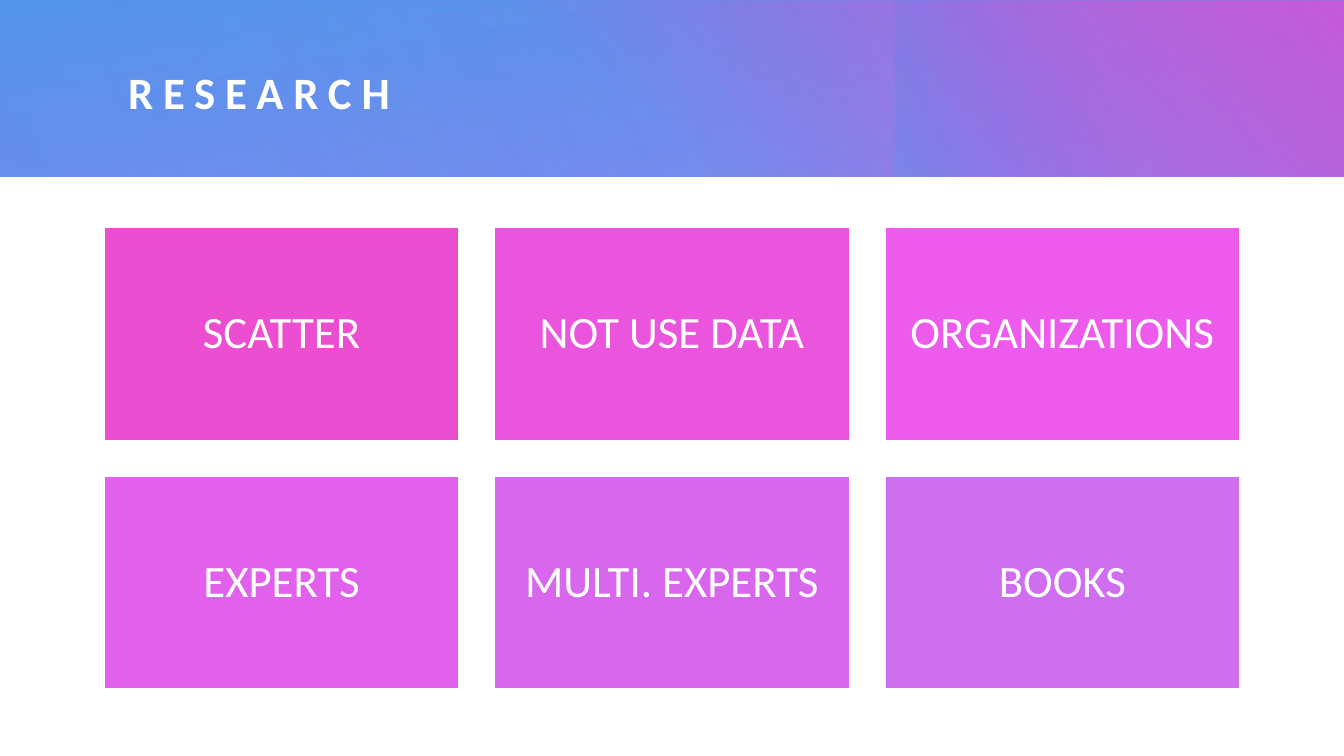
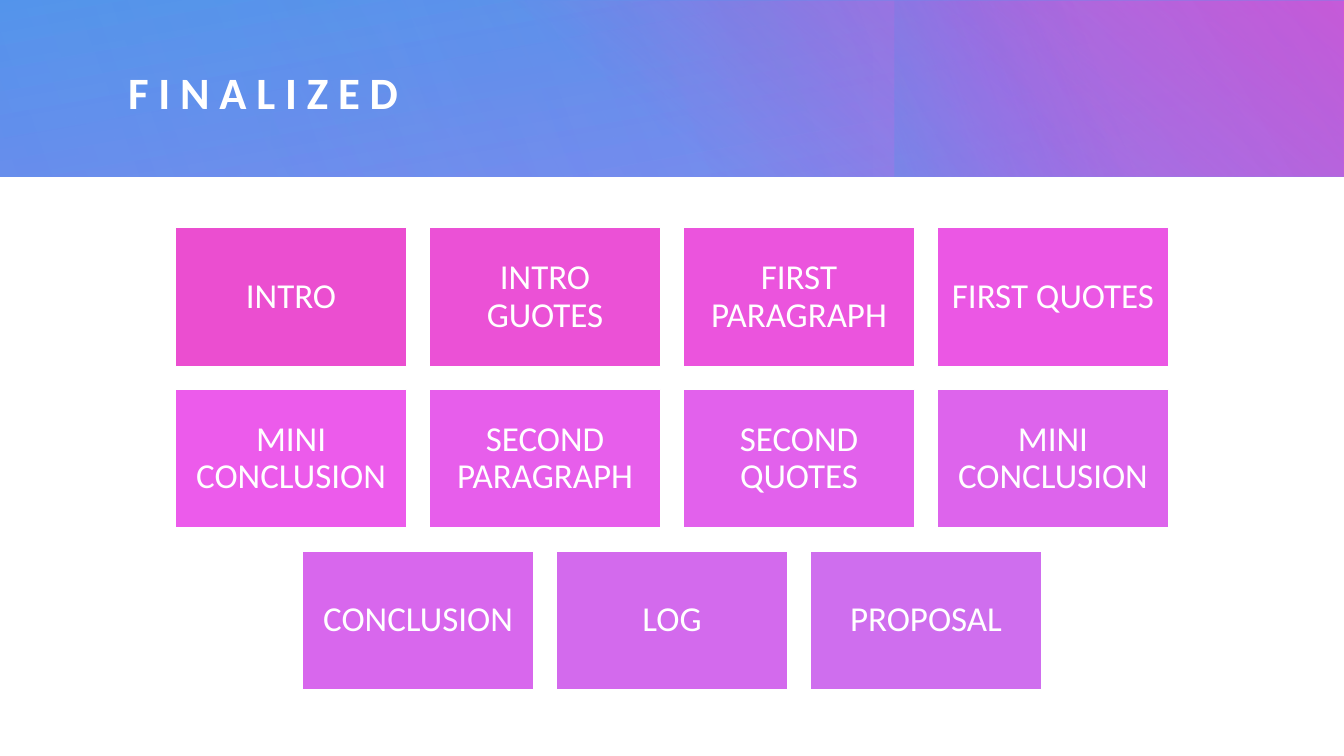
from lxml import etree
from pptx import Presentation
from pptx.dml.color import RGBColor
from pptx.enum.shapes import MSO_SHAPE
from pptx.enum.text import MSO_ANCHOR, PP_ALIGN
from pptx.oxml.ns import qn
from pptx.util import Inches, Pt

RECT = MSO_SHAPE.RECTANGLE
MIDDLE = MSO_ANCHOR.MIDDLE
LEFT, CENTER = PP_ALIGN.LEFT, PP_ALIGN.CENTER

SLIDE_W, SLIDE_H = 13.33, 7.5
FONT = "Calibri"
COLORS = {
    "white": "FFFFFF",
    "pink": "EB4ED0",
    "magenta": "EC5BEB",
    "lilac": "CF6EEE",
    "violet": "834EEB",
    "indigo": "6E78EE",
    "blue": "4E9CEB",
}
TILE_RAMP = [(0, "pink"), (0.4, "magenta"), (1, "lilac")]
TILE_TOP = 2.26
TILE_GAP = 0.1
TILE_RATIO = 0.6

# box, rotation, gradient angle, stops of (position, colour, opacity)
BAND = [
    ((0, 0, SLIDE_W, 1.75), 0, 260, [(0, "indigo", 83), (100, "blue", 100)]),
    ((4.81, 0.01, 8.52, 1.74), 0, 310, [(22, "pink", 0), (99, "pink", 100)]),
    ((9.87, -0.99, 1.75, 3.74), 270, 250, [(45, "violet", 0), (99, "blue", 33)]),
    ((2.68, 0, 10.64, 1.75), 180, 330, [(0, "indigo", 30), (99, "indigo", 0)]),
    ((0, 0, 8.65, 1.75), 0, 340, [(0, "indigo", 21), (99, "indigo", 0)]),
]

RESEARCH = [
    ["SCATTER", "NOT USE DATA", "ORGANIZATIONS"],
    ["EXPERTS", "MULTI. EXPERTS", "BOOKS"],
]
FINALIZED = [
    ["INTRO", "INTRO GUOTES", "FIRST PARAGRAPH", "FIRST QUOTES"],
    ["MINI CONCLUSION", "SECOND PARAGRAPH", "SECOND QUOTES", "MINI CONCLUSION"],
    ["CONCLUSION", "LOG", "PROPOSAL"],
]


def rgb(name):
    return RGBColor.from_string(COLORS[name])


def ramp_color(t):
    for (t0, start), (t1, end) in zip(TILE_RAMP, TILE_RAMP[1:]):
        if t <= t1:
            part = (t - t0) / (t1 - t0)
            return RGBColor(*(int(a + (b - a) * part)
                              for a, b in zip(rgb(start), rgb(end))))


def add_rect(slide, box):
    sp = slide.shapes.add_shape(RECT, *map(Inches, box))
    sp.shadow.inherit = False
    return sp


def write_text(sp, text, size, align=LEFT, bold=False, inset=0,
               line_spacing=0.9, tracking=0):
    tf = sp.text_frame
    tf.word_wrap = True
    tf.vertical_anchor = MIDDLE
    tf.margin_left = tf.margin_right = Inches(inset)
    tf.margin_top = tf.margin_bottom = Inches(inset)
    p = tf.paragraphs[0]
    p.alignment = align
    p.line_spacing = line_spacing
    r = p.add_run()
    r.text = text
    r.font.name = FONT
    r.font.size = Pt(size)
    r.font.bold = bold
    r.font.color.rgb = rgb("white")
    if tracking:
        r.font._element.set("spc", str(tracking * 100))


def add_gradient_rect(slide, box, rotation, angle, stops):
    sp = add_rect(slide, box)
    sp.rotation = rotation
    sp.line.fill.background()
    sp.fill.gradient()
    sp.fill.gradient_angle = 360 - angle
    for stop, (position, color, _) in zip(sp.fill.gradient_stops, stops):
        stop.position = position / 100
        stop.color.rgb = rgb(color)
    clrs = sp._element.spPr.iter(qn("a:srgbClr"))
    for clr, (_, _, opacity) in zip(list(clrs), stops):
        etree.SubElement(clr, qn("a:alpha"), val=str(opacity * 1000))


def add_header(slide, title):
    for layer in BAND:
        add_gradient_rect(slide, *layer)
    sp = slide.shapes.add_textbox(*map(Inches, (1.27, 0.41, 11.35, 1.06)))
    write_text(sp, title, 32, bold=True, tracking=7)


def add_tile(slide, box, text, color, size, inset):
    sp = add_rect(slide, box)
    sp.fill.solid()
    sp.fill.fore_color.rgb = color
    sp.line.color.rgb = rgb("white")
    sp.line.width = Pt(1)
    write_text(sp, text, size, align=CENTER, inset=inset)


def add_tile_grid(slide, rows, width, size, inset):
    height = width * TILE_RATIO
    gap = width * TILE_GAP
    last = sum(map(len, rows)) - 1
    index = 0
    for i, row in enumerate(rows):
        left = (SLIDE_W - len(row) * (width + gap) + gap) / 2
        top = TILE_TOP + i * (height + gap)
        for j, text in enumerate(row):
            box = (left + j * (width + gap), top, width, height)
            add_tile(slide, box, text, ramp_color(index / last), size, inset)
            index += 1


def add_tile_slide(prs, title, rows, **tiles):
    slide = prs.slides.add_slide(prs.slide_layouts[6])
    add_header(slide, title)
    add_tile_grid(slide, rows, **tiles)


def main():
    prs = Presentation()
    prs.slide_width, prs.slide_height = Inches(SLIDE_W), Inches(SLIDE_H)
    add_tile_slide(prs, "RESEARCH", RESEARCH, width=3.52, size=32, inset=0.13)
    add_tile_slide(prs, "FINALIZED", FINALIZED, width=2.29, size=25, inset=0.1)
    prs.save("out.pptx")


main()
